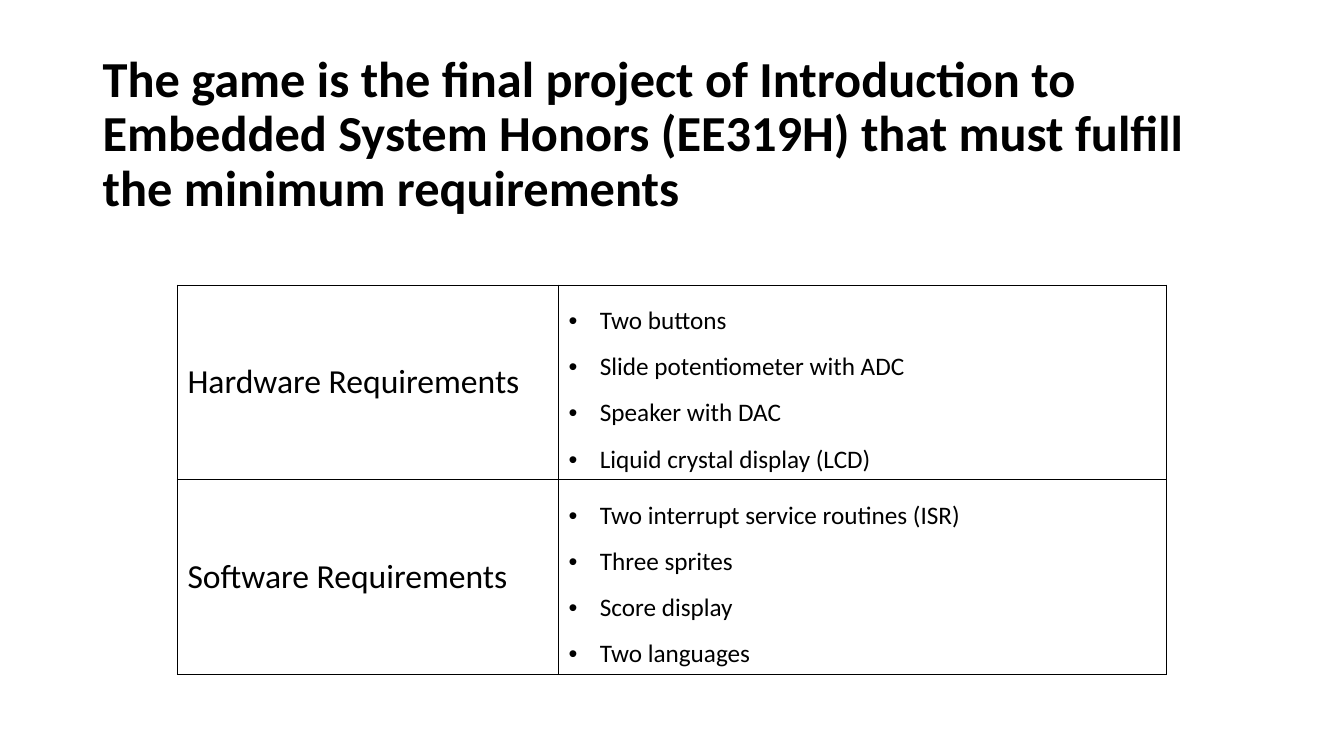
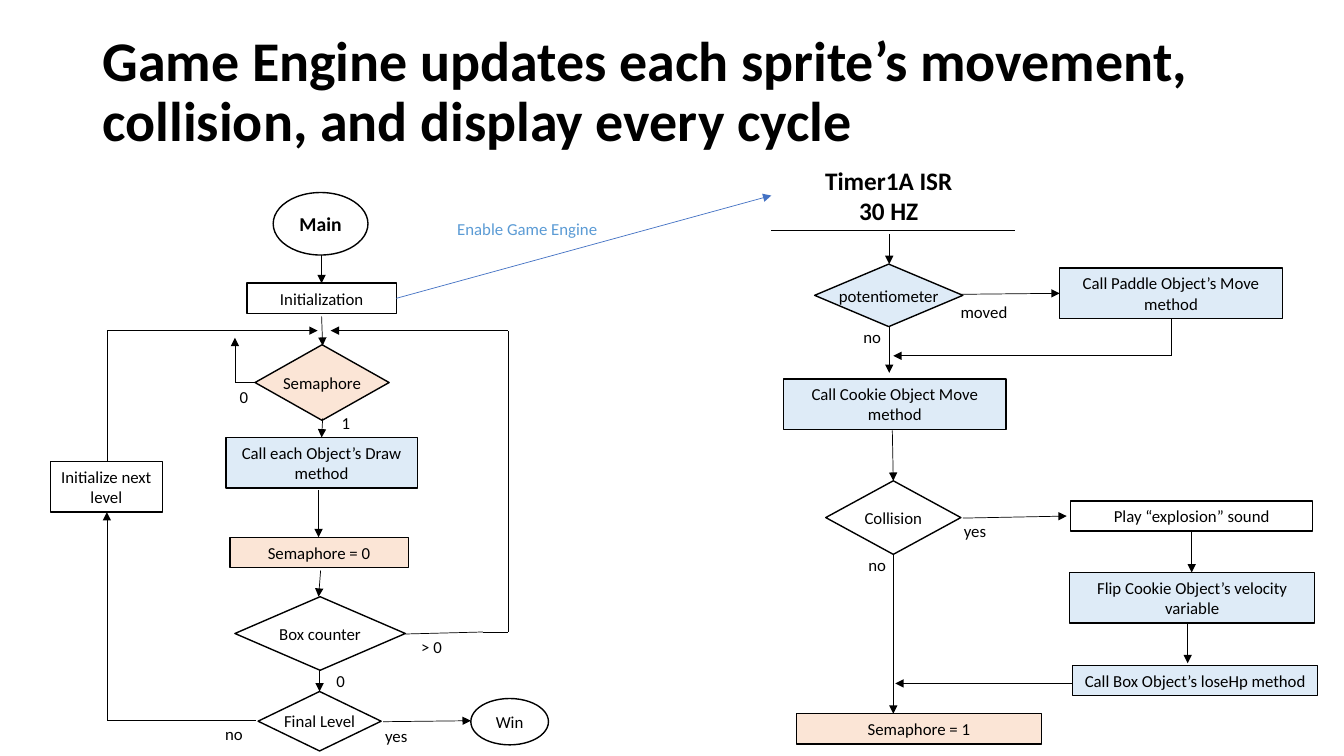
from itertools import pairwise

from lxml.etree import SubElement
from pptx import Presentation
from pptx.dml.color import RGBColor
from pptx.enum.shapes import MSO_CONNECTOR, MSO_SHAPE
from pptx.enum.text import MSO_ANCHOR, PP_ALIGN
from pptx.oxml.ns import qn
from pptx.util import Inches, Pt

FONT = "Calibri"
COLORS = {
    "black": "000000",
    "white": "FFFFFF",
    "peach": "FBE5D6",
    "pale blue": "DEEBF7",
    "arrow blue": "4472C4",
    "label blue": "5B9BD5",
}
BOX = MSO_SHAPE.RECTANGLE
DECISION = MSO_SHAPE.FLOWCHART_DECISION
OVAL = MSO_SHAPE.OVAL

REQUIREMENTS = [
    ("Hardware Requirements",
     ["Two buttons", "Slide potentiometer with ADC", "Speaker with DAC",
      "Liquid crystal display (LCD)"]),
    ("Software Requirements",
     ["Two interrupt service routines (ISR)", "Three sprites", "Score display",
      "Two languages"]),
]

# kind, text, fill, left, top, width, height
MAIN_NODES = [
    (BOX, "Initialization", "white", 2.45, 2.81, 1.48, 0.3),
    (DECISION, "Semaphore", "peach", 2.53, 3.42, 1.33, 0.75),
    (BOX, "Call each Object’s Draw method", "pale blue", 2.24, 4.34, 1.9, 0.5),
    (BOX, "Semaphore = 0", "peach", 2.28, 5.33, 1.77, 0.3),
    (DECISION, "Box counter", "white", 2.33, 5.92, 1.69, 0.73),
    (DECISION, "Final Level", "white", 2.56, 6.86, 1.22, 0.59),
    (OVAL, "Win", "white", 4.67, 6.93, 0.77, 0.46),
    (BOX, "Initialize next level", "white", 0.5, 4.58, 1.11, 0.5),
]
TIMER_NODES = [
    (DECISION, "potentiometer", "pale blue", 8.08, 2.62, 1.47, 0.62),
    (BOX, "Call Paddle Object’s Move method", "pale blue", 10.51, 2.66, 2.21, 0.5),
    (BOX, "Call Cookie Object Move method", "pale blue", 7.77, 3.76, 2.21, 0.5),
    (DECISION, "Collision", "white", 8.19, 4.77, 1.34, 0.73),
    (BOX, "Play “explosion” sound", "white", 10.62, 4.97, 2.4, 0.3),
    (BOX, "Flip Cookie Object’s velocity variable", "pale blue", 10.61, 5.68, 2.43, 0.5),
    (BOX, "Call Box Object’s loseHp method", "pale blue", 10.64, 6.6, 2.43, 0.3),
    (BOX, "Semaphore = 1", "peach", 7.9, 7.08, 2.43, 0.3),
]

# each route is a list of corner points, with the arrowhead at the last one
MAIN_ROUTES = [
    [(3.19, 2.53), (3.19, 2.81)],
    [(3.19, 3.14), (3.2, 3.43)],
    [(3.2, 4.15), (3.19, 4.34)],
    [(3.16, 4.86), (3.16, 5.33)],
    [(3.18, 5.66), (3.16, 5.92)],
    [(3.17, 6.65), (3.17, 6.86)],
    [(3.8, 7.16), (4.67, 7.15)],
    [(2.53, 3.79), (2.33, 3.79), (2.33, 3.35)],
    [(4.02, 6.29), (4.79, 6.27), (5.04, 6.27), (5.04, 3.28), (3.28, 3.28)],
    [(2.54, 7.15), (1.06, 7.15), (1.06, 5.08)],
    [(1.06, 4.58), (1.06, 3.28), (3.15, 3.28)],
]
TIMER_ROUTES = [
    [(8.82, 2.32), (8.82, 2.62)],
    [(9.53, 2.92), (10.51, 2.91)],
    [(8.82, 3.24), (8.82, 3.7)],
    [(11.62, 3.16), (11.62, 3.53), (8.86, 3.53)],
    [(8.85, 4.27), (8.86, 4.77)],
    [(9.55, 5.14), (10.58, 5.12)],
    [(11.82, 5.28), (11.82, 5.68)],
    [(11.78, 6.18), (11.78, 6.58)],
    [(10.64, 6.78), (8.88, 6.78)],
    [(8.86, 5.5), (8.86, 7.08)],
]

# text, centre, top
BRANCH_LABELS = [
    ("0", 2.42, 3.79), ("1", 3.43, 4.05), ("> 0", 4.28, 6.27), ("0", 3.38, 6.61),
    ("yes", 3.93, 7.15), ("no", 2.32, 7.13),
    ("moved", 9.76, 2.94), ("no", 8.65, 3.19), ("yes", 9.67, 5.12), ("no", 8.7, 5.45),
]


def color(name):
    return RGBColor.from_string(COLORS[name])


def add_run(paragraph, text, size, bold=False, ink="black"):
    run = paragraph.add_run()
    run.text = text
    run.font.name = FONT
    run.font.size = Pt(size)
    run.font.bold = bold
    run.font.color.rgb = color(ink)


def add_text(slide, lines, left, top, width, height, size, bold=False,
             ink="black", align=PP_ALIGN.CENTER):
    """Add a text box with one paragraph per line and return its text frame."""
    box = slide.shapes.add_textbox(Inches(left), Inches(top), Inches(width), Inches(height))
    frame = box.text_frame
    frame.word_wrap = True
    for index, line in enumerate(lines):
        paragraph = frame.add_paragraph() if index else frame.paragraphs[0]
        paragraph.alignment = align
        add_run(paragraph, line, size, bold, ink)
    return frame


def add_title(slide, text, top, size):
    frame = add_text(slide, [text], 0.92, top, 11.5, 1.45, size, bold=True,
                     align=PP_ALIGN.LEFT)
    frame.vertical_anchor = MSO_ANCHOR.MIDDLE
    frame.paragraphs[0].line_spacing = 0.9


def add_label(slide, text, center, top, ink="black"):
    width = 1.6
    add_text(slide, [text], center - width / 2, top, width, 0.3, 12, ink=ink)


def add_node(slide, kind, text, fill, left, top, width, height, size=12, bold=False):
    shape = slide.shapes.add_shape(kind, Inches(left), Inches(top), Inches(width), Inches(height))
    shape.shadow.inherit = False
    shape.fill.solid()
    shape.fill.fore_color.rgb = color(fill)
    shape.line.color.rgb = color("black")
    shape.line.width = Pt(1)
    frame = shape.text_frame
    frame.word_wrap = kind == BOX
    frame.vertical_anchor = MSO_ANCHOR.MIDDLE
    paragraph = frame.paragraphs[0]
    paragraph.alignment = PP_ALIGN.CENTER
    add_run(paragraph, text, size, bold)


def add_line(slide, start, end, ink="black", arrow=False):
    points = [Inches(value) for value in (*start, *end)]
    connector = slide.shapes.add_connector(MSO_CONNECTOR.STRAIGHT, *points)
    connector.line.color.rgb = color(ink)
    connector.line.width = Pt(0.5)
    if arrow:
        SubElement(connector.line._get_or_add_ln(), qn("a:tailEnd"), type="triangle")
    SubElement(connector._element.spPr, qn("a:effectLst"))


def add_route(slide, points, ink="black"):
    """Join the points with lines, ending in an arrowhead."""
    for start, end in pairwise(points):
        add_line(slide, start, end, ink, arrow=end == points[-1])


def add_bullet(paragraph):
    properties = paragraph._p.get_or_add_pPr()
    properties.set("marL", str(Inches(0.31)))
    properties.set("indent", str(-Inches(0.31)))
    SubElement(properties, qn("a:buFont"), typeface="Arial")
    SubElement(properties, qn("a:buChar"), char="•")


def style_cell(cell):
    """Give the cell a thin black border and a white fill."""
    properties = cell._tc.get_or_add_tcPr()
    for side in ("lnL", "lnR", "lnT", "lnB"):
        border = SubElement(properties, qn(f"a:{side}"), w=str(Pt(1)))
        fill = SubElement(border, qn("a:solidFill"))
        SubElement(fill, qn("a:srgbClr"), val=COLORS["black"])
    cell.fill.solid()
    cell.fill.fore_color.rgb = color("white")


def add_requirements_table(slide):
    widths, row_height = (3.78, 6.03), 1.93
    table = slide.shapes.add_table(
        len(REQUIREMENTS), len(widths), Inches(1.76), Inches(2.83),
        Inches(sum(widths)), Inches(row_height * len(REQUIREMENTS))).table
    table.first_row = table.horz_banding = False
    for column, width in zip(table.columns, widths):
        column.width = Inches(width)
    for row, (heading, items) in enumerate(REQUIREMENTS):
        heading_cell, list_cell = table.cell(row, 0), table.cell(row, 1)
        style_cell(heading_cell)
        style_cell(list_cell)
        heading_cell.vertical_anchor = MSO_ANCHOR.MIDDLE
        add_run(heading_cell.text_frame.paragraphs[0], heading, 24)
        frame = list_cell.text_frame
        for index, item in enumerate(items):
            paragraph = frame.add_paragraph() if index else frame.paragraphs[0]
            paragraph.line_spacing = 1.5
            add_bullet(paragraph)
            add_run(paragraph, item, 18)


def add_flowcharts(slide):
    add_node(slide, OVAL, "Main", "white", 2.71, 1.91, 0.94, 0.62, size=14, bold=True)
    add_text(slide, ["Timer1A ISR", "30 HZ"], 7.65, 1.59, 2.33, 0.71, 18, bold=True)
    add_line(slide, (7.65, 2.29), (10.07, 2.29))
    for node in MAIN_NODES + TIMER_NODES:
        add_node(slide, *node)
    for route in MAIN_ROUTES + TIMER_ROUTES:
        add_route(slide, route)
    for label in BRANCH_LABELS:
        add_label(slide, *label)
    add_route(slide, [(3.93, 2.96), (7.65, 1.94)], "arrow blue")
    add_label(slide, "Enable Game Engine", 5.23, 2.12, "label blue")


def main():
    presentation = Presentation()
    presentation.slide_width = Inches(13.33)
    presentation.slide_height = Inches(7.5)
    blank = presentation.slide_layouts[6]

    slide = presentation.slides.add_slide(blank)
    add_title(slide, "The game is the final project of Introduction to Embedded System "
              "Honors (EE319H) that must fulfill the minimum requirements", 0.62, 36)
    add_requirements_table(slide)

    slide = presentation.slides.add_slide(blank)
    add_title(slide, "Game Engine updates each sprite’s movement, collision, "
              "and display every cycle", 0.2, 40)
    add_flowcharts(slide)

    presentation.save("out.pptx")


if __name__ == "__main__":
    main()
